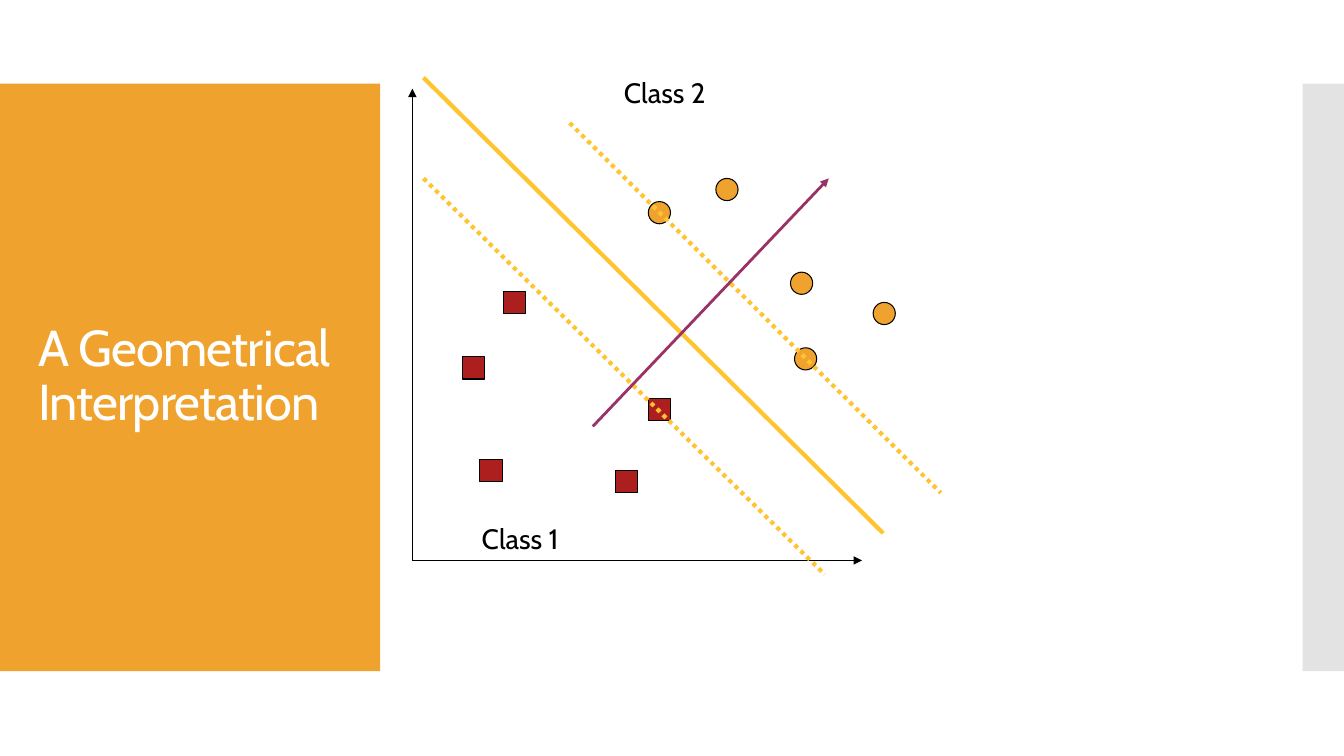
from dataclasses import dataclass

from pptx import Presentation
from pptx.dml.color import RGBColor
from pptx.enum.shapes import MSO_CONNECTOR, MSO_SHAPE
from pptx.enum.text import MSO_ANCHOR, MSO_AUTO_SIZE
from pptx.oxml.ns import qn
from pptx.shapes.autoshape import Shape
from pptx.slide import Slide
from pptx.util import Inches, Pt
from lxml.etree import SubElement

FONT = "Cabin"
BLACK, WHITE = "000000", "FFFFFF"
ORANGE, RED, YELLOW, PURPLE = "F0A22E", "AD1F1F", "FFC42F", "993366"
GREY = "C8C8C8"
POINT_SIZE = 0.22
PANEL_TOP, PANEL_HEIGHT = 0.83, 5.83
ORIGIN = (4.09, 5.56)


@dataclass(frozen=True)
class Segment:
    start: tuple[float, float]
    end: tuple[float, float]
    color: str
    width: float
    dotted: bool = False
    arrow: bool = False


@dataclass(frozen=True)
class DataClass:
    label: str
    label_at: tuple[float, float]
    marker: MSO_SHAPE
    color: str
    points: tuple[tuple[float, float], ...]


AXES = (
    Segment(ORIGIN, (4.09, 0.88), BLACK, 1, arrow=True),
    Segment(ORIGIN, (8.55, 5.56), BLACK, 1, arrow=True),
)
CLASSES = (
    DataClass("Class 1", (4.68, 5.12), MSO_SHAPE.RECTANGLE, RED,
              ((4.59, 3.54), (6.43, 3.95), (6.1, 4.67), (4.76, 4.56), (4.99, 2.89))),
    DataClass("Class 2", (6.09, 0.7), MSO_SHAPE.OVAL, ORANGE,
              ((7.1, 1.77), (7.84, 2.7), (8.66, 3), (6.43, 2), (7.88, 3.45))),
)
BOUNDARIES = (
    Segment((5.65, 1.22), (9.33, 4.89), YELLOW, 3, dotted=True),
    Segment((4.2, 1.77), (8.18, 5.7), YELLOW, 3, dotted=True),
    Segment((4.2, 0.77), (8.76, 5.29), YELLOW, 3),
    Segment((5.88, 4.23), (8.22, 1.77), PURPLE, 2, arrow=True),
)


def rgb(color: str) -> RGBColor:
    return RGBColor.from_string(color)


def draw_shape(slide: Slide, kind: MSO_SHAPE, left: float, top: float,
               width: float, height: float, color: str, outlined: bool = False) -> Shape:
    shape = slide.shapes.add_shape(kind, Inches(left), Inches(top), Inches(width), Inches(height))
    shape.shadow.inherit = False
    shape.fill.solid()
    shape.fill.fore_color.rgb = rgb(color)
    if outlined:
        shape.line.color.rgb = rgb(BLACK)
        shape.line.width = Pt(0.75)
    else:
        shape.line.fill.background()
    return shape


def draw_segment(slide: Slide, segment: Segment) -> None:
    ends = (Inches(value) for value in segment.start + segment.end)
    connector = slide.shapes.add_connector(MSO_CONNECTOR.STRAIGHT, *ends)
    connector.line.color.rgb = rgb(segment.color)
    connector.line.width = Pt(segment.width)
    properties = connector._element.spPr
    outline = properties.find(qn("a:ln"))
    if segment.dotted:
        SubElement(outline, qn("a:prstDash"), val="sysDot")
    if segment.arrow:
        SubElement(outline, qn("a:tailEnd"), type="triangle")
    SubElement(properties, qn("a:effectLst"))


def draw_text(slide: Slide, text: str, left: float, top: float, width: float,
              height: float, size: float, color: str) -> Shape:
    box = slide.shapes.add_textbox(Inches(left), Inches(top), Inches(width), Inches(height))
    run = box.text_frame.paragraphs[0].add_run()
    run.text = text
    run.font.name = FONT
    run.font.size = Pt(size)
    run.font.color.rgb = rgb(color)
    return box


def draw_title(slide: Slide) -> None:
    title = draw_text(slide, "A Geometrical Interpretation", 0.28, 1.23, 3.22, 5.03, 36, WHITE)
    frame = title.text_frame
    frame.word_wrap = True
    frame.vertical_anchor = MSO_ANCHOR.MIDDLE
    paragraph = frame.paragraphs[0]
    paragraph.line_spacing = 0.9
    paragraph.runs[0].font._element.set("spc", "-60")


def draw_class(slide: Slide, data_class: DataClass) -> None:
    for left, top in data_class.points:
        draw_shape(slide, data_class.marker, left, top, POINT_SIZE, POINT_SIZE,
                   data_class.color, outlined=True)
    label = draw_text(slide, data_class.label, *data_class.label_at, 1.06, 0.43, 20, BLACK)
    label.text_frame.word_wrap = False
    label.text_frame.auto_size = MSO_AUTO_SIZE.SHAPE_TO_FIT_TEXT


def main() -> None:
    presentation = Presentation()
    presentation.slide_width = Inches(13.33)
    presentation.slide_height = Inches(7.5)
    slide = presentation.slides.add_slide(presentation.slide_layouts[6])

    draw_shape(slide, MSO_SHAPE.RECTANGLE, 0, PANEL_TOP, 3.77, PANEL_HEIGHT, ORANGE)
    side_strip = draw_shape(slide, MSO_SHAPE.RECTANGLE, 12.92, PANEL_TOP, 0.41, PANEL_HEIGHT, GREY)
    strip_color = side_strip._element.spPr.find(qn("a:solidFill")).find(qn("a:srgbClr"))
    SubElement(strip_color, qn("a:alpha"), val="50000")
    draw_title(slide)

    for axis in AXES:
        draw_segment(slide, axis)
    for data_class in CLASSES:
        draw_class(slide, data_class)
    for boundary in BOUNDARIES:
        draw_segment(slide, boundary)

    presentation.save("out.pptx")


if __name__ == "__main__":
    main()
